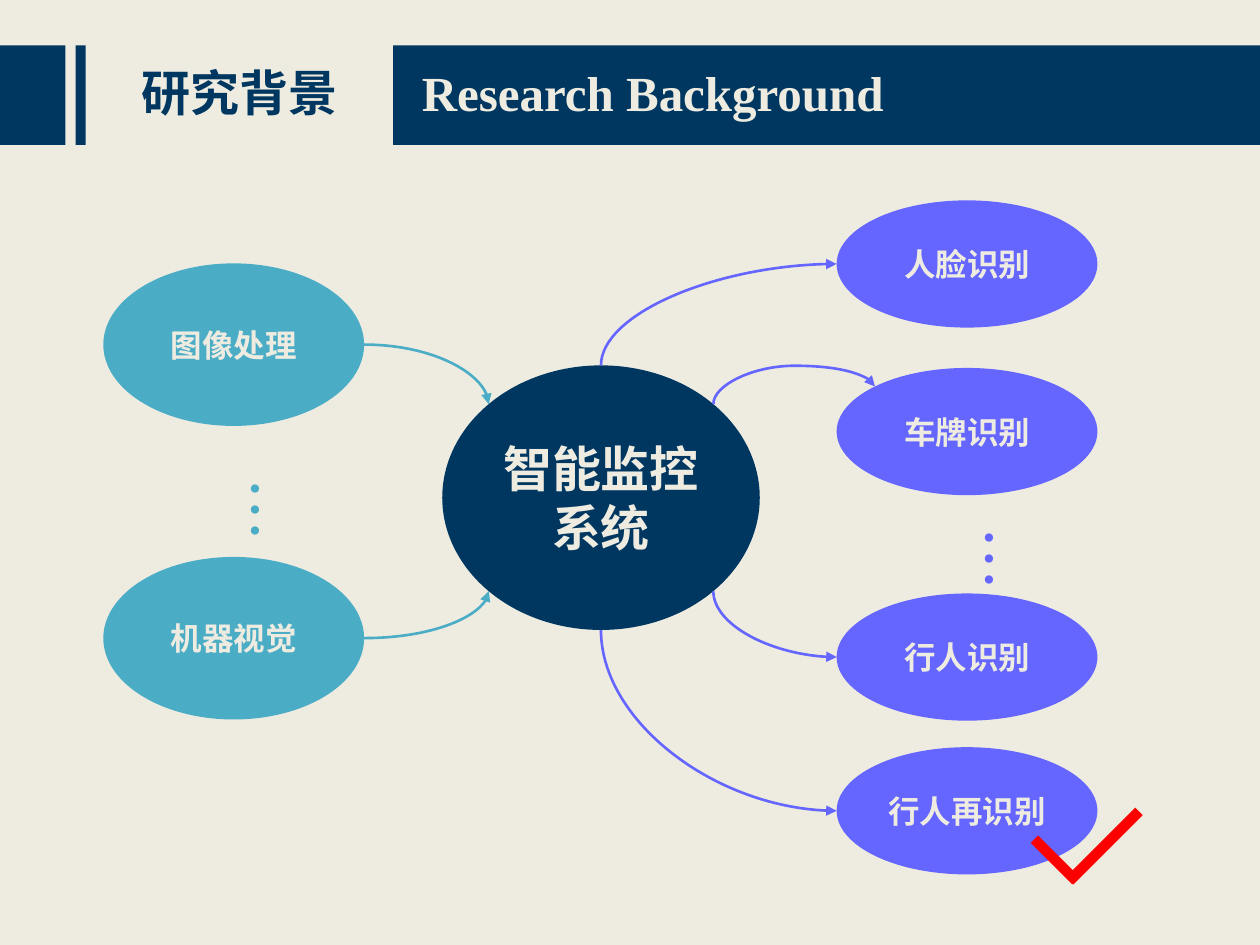
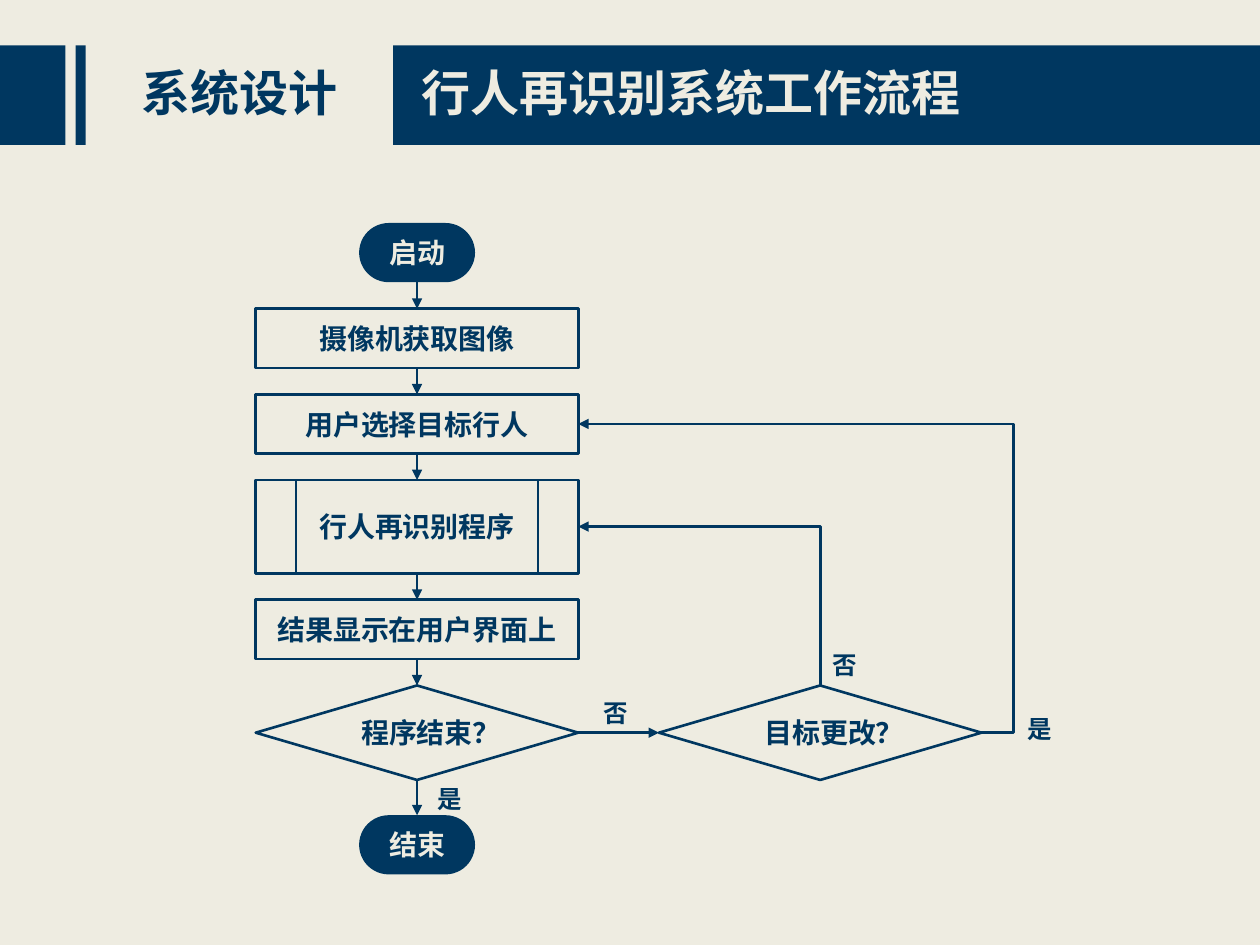
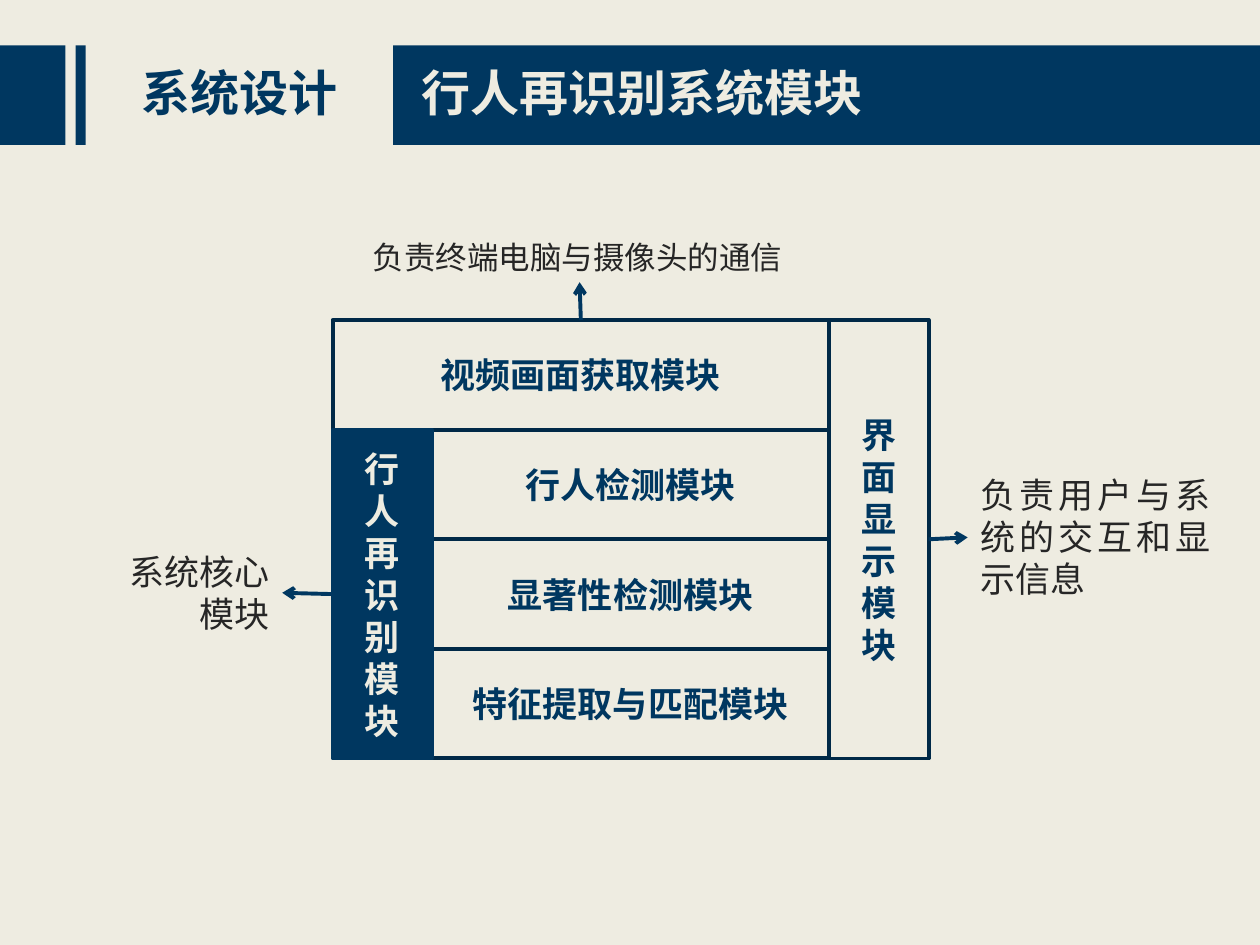
from math import cos, radians, sin

from lxml.etree import SubElement
from pptx import Presentation
from pptx.dml.color import RGBColor
from pptx.enum.shapes import MSO_CONNECTOR as Link, MSO_SHAPE as Form
from pptx.enum.text import MSO_ANCHOR as Anchor, PP_ALIGN as Align
from pptx.oxml.ns import qn
from pptx.util import Inches, Pt

NAVY = RGBColor(0x00, 0x37, 0x60)
DEEP_NAVY = RGBColor(0x00, 0x29, 0x47)
CREAM = RGBColor(0xEE, 0xEC, 0xE1)
TEAL = RGBColor(0x4B, 0xAC, 0xC6)
VIOLET = RGBColor(0x65, 0x65, 0xFF)
RED = RGBColor(0xFF, 0x00, 0x00)
INK = RGBColor(0x26, 0x26, 0x26)

SERIF = "Times New Roman"
SANS = "Noto Sans CJK SC"
TITLE_ONLY = 5
TOP, LEFT, BOTTOM, RIGHT = range(4)


def write(frame, lines, size, color, bold=True, align=Align.CENTER, font=SERIF):
    """Fill a text frame with one paragraph per line."""
    frame.word_wrap = True
    for number, line in enumerate(lines):
        para = frame.add_paragraph() if number else frame.paragraphs[0]
        para.alignment = align
        span = para.add_run()
        span.text = line
        span.font.size = Pt(size)
        span.font.bold = bold
        span.font.color.rgb = color
        span.font.name = font
        SubElement(span.font._element, qn("a:ea")).set("typeface", SANS)


def add_form(slide, form, box, fill=None, edge=None, weight=1.5):
    shape = slide.shapes.add_shape(form, *map(Inches, box))
    shape.shadow.inherit = False
    if fill is None:
        shape.fill.background()
    else:
        shape.fill.solid()
        shape.fill.fore_color.rgb = fill
    if edge is None:
        shape.line.fill.background()
    else:
        shape.line.color.rgb = edge
        shape.line.width = Pt(weight)
    return shape


def add_node(slide, form, box, lines, size, ink, **look):
    """Add a shape with centred bold text."""
    node = add_form(slide, form, box, **look)
    node.text_frame.vertical_anchor = Anchor.MIDDLE
    write(node.text_frame, lines, size, ink)
    return node


def add_text(slide, box, lines, size, color, **look):
    text_box = slide.shapes.add_textbox(*map(Inches, box))
    write(text_box.text_frame, lines, size, color, **look)
    return text_box


def style_link(link, color, weight, head):
    link.line.color.rgb = color
    link.line.width = Pt(weight)
    if head:
        SubElement(link.line._get_or_add_ln(), qn("a:tailEnd")).set("type", head)
    SubElement(link._element.spPr, qn("a:effectLst"))


def add_line(slide, start, end, color, weight):
    link = slide.shapes.add_connector(Link.STRAIGHT, *map(Inches, start + end))
    style_link(link, color, weight, None)


def join(slide, start, start_side, end, end_side, weight=1.5, head="triangle"):
    """Draw a straight arrow between the sides of two shapes."""
    link = slide.shapes.add_connector(Link.STRAIGHT, 0, 0, 0, 0)
    link.begin_connect(start, start_side)
    link.end_connect(end, end_side)
    style_link(link, NAVY, weight, head)


def site_point(shape, site, count):
    """Return a connection site; sites run anticlockwise from the top."""
    angle = radians(360 / count * site)
    return (shape.left + shape.width / 2 * (1 - sin(angle)),
            shape.top + shape.height / 2 * (1 - cos(angle)))


def add_route(slide, preset, start, end, color, upright, count=4, bend=None):
    """Draw a bent or curved arrow between (shape, site) pairs.

    An upright route leaves its start vertically; bend is the adjustment.
    """
    (x1, y1), (x2, y2) = (site_point(*spot, count) for spot in (start, end))
    dx, dy = x2 - x1, y2 - y1
    width, height = abs(dx), abs(dy)
    turn, flip_h, flip_v = 0, dx < 0, dy < 0
    if upright:
        width, height = height, width
        turn = 90 if dy < 0 < dx else 270
        flip_h = (dy < 0) == (turn == 90)
        flip_v = (dx > 0) == (turn == 90)

    link = slide.shapes.add_connector(Link.ELBOW, 0, 0, 0, 0)
    link.left, link.top = int((x1 + x2 - width) / 2), int((y1 + y2 - height) / 2)
    link.width, link.height = int(width), int(height)
    frame = link._element.spPr.find(qn("a:xfrm"))
    frame.set("rot", str(turn * 60000))
    frame.set("flipH", str(int(flip_h)))
    frame.set("flipV", str(int(flip_v)))

    outline = link._element.spPr.find(qn("a:prstGeom"))
    outline.set("prst", preset)
    if bend is not None:
        guide = SubElement(outline.find(qn("a:avLst")), qn("a:gd"))
        guide.set("name", "adj1")
        guide.set("fmla", f"val {round(bend * 100000)}")

    joints = link._element.nvCxnSpPr.cNvCxnSpPr
    for tag, (shape, site) in (("a:stCxn", start), ("a:endCxn", end)):
        joint = SubElement(joints, qn(tag))
        joint.set("id", str(shape.shape_id))
        joint.set("idx", str(site))
    style_link(link, color, 1.5, "triangle")


def add_page(deck, title, subtitle, subtitle_font=SERIF):
    """Add a slide with the navy header band, its title and subtitle."""
    page = deck.slides.add_slide(deck.slide_layouts[TITLE_ONLY])
    for left, width in ((0, 0.52), (0.6, 0.08), (3.12, 6.88)):
        band = add_form(page, Form.RECTANGLE, (left, 0.36, width, 0.79), fill=NAVY)
        page.shapes._spTree.insert(2, band._element)

    heading = page.shapes.title
    heading.left, heading.top, heading.width, heading.height = map(
        Inches, (0.68, 0.44, 2.44, 0.64))
    write(heading.text_frame, [title], 28, NAVY, font=SANS)
    caption = add_text(page, (3.25, 0.44, 6.52, 0.64), [subtitle], 28, CREAM,
                       align=Align.LEFT, font=subtitle_font)
    caption.text_frame.paragraphs[0].space_before = Pt(10)
    for frame in (heading.text_frame, caption.text_frame):
        frame.vertical_anchor = Anchor.MIDDLE
        frame.paragraphs[0].line_spacing = 0.9
    return page


def add_dots(slide, left, top, color):
    dots = add_text(slide, (left, top, 0.81, 0.9), ["…"], 36, color,
                    bold=False, align=Align.LEFT, font=SANS)
    dots.text_frame._txBody.bodyPr.set("vert", "eaVert")


def add_tick(slide, left, top):
    add_line(slide, (left, top + 0.22), (left + 0.33, top + 0.55), RED, 6)
    add_line(slide, (left + 0.28, top + 0.55), (left + 0.83, top), RED, 6)


def add_mind_map(slide, left, top):
    def ovals(x, height, color, items):
        return [add_node(slide, Form.OVAL, (left + x, top + y, 2.07, height), [text],
                         18, CREAM, fill=color) for text, y in items]

    system = add_node(slide, Form.OVAL, (left + 2.69, top + 1.31, 2.52, 2.1),
                      ["智能监控系统"], 28, CREAM, fill=NAVY)
    sources = ovals(0, 1.29, TEAL, [("图像处理", 0.5), ("机器视觉", 2.83)])
    uses = ovals(5.82, 1.01, VIOLET, [("人脸识别", 0), ("车牌识别", 1.33),
                                      ("行人识别", 3.12), ("行人再识别", 4.34)])

    for source, site in zip(sources, (1, 3)):
        add_route(slide, "curvedConnector2", (source, 6), (system, site), TEAL,
                  upright=False, count=8)
    routes = [(0, 2, 2, None), (7, 1, 3, 2.18), (5, 2, 2, None), (4, 2, 2, None)]
    for use, (exit_site, entry_site, parts, bend) in zip(uses, routes):
        add_route(slide, f"curvedConnector{parts}", (system, exit_site),
                  (use, entry_site), VIOLET, upright=True, count=8, bend=bend)
    add_dots(slide, left + 6.58, top + 2.5, VIOLET)
    add_dots(slide, left + 0.76, top + 2.11, TEAL)
    add_tick(slide, left + 7.39, top + 4.85)


def add_flow_chart(slide, left, top):
    width, gap = 2.56, 0.21
    outlined = {"edge": NAVY}
    steps = [
        ("启动", Form.ROUNDED_RECTANGLE, 0.47, 0),
        ("摄像机获取图像", Form.RECTANGLE, 0.47, gap),
        ("用户选择目标行人", Form.RECTANGLE, 0.47, gap),
        ("行人再识别程序", Form.FLOWCHART_PREDEFINED_PROCESS, 0.74, gap),
        ("结果显示在用户界面上", Form.RECTANGLE, 0.47, gap),
        ("程序结束？", Form.FLOWCHART_DECISION, 0.75, gap),
        ("结束", Form.ROUNDED_RECTANGLE, 0.47, 0.28),
    ]
    nodes, y = [], top
    for text, form, height, space in steps:
        y += space
        if form == Form.ROUNDED_RECTANGLE:
            node = add_node(slide, form, (left + 0.82, y, 0.92, height), [text], 16,
                            CREAM, fill=NAVY)
            node.adjustments[0] = 0.5
        else:
            node = add_node(slide, form, (left, y, width, height), [text], 16, NAVY,
                            **outlined)
        nodes.append(node)
        y += height
    for upper, lower in zip(nodes, nodes[1:]):
        join(slide, upper, BOTTOM, lower, TOP)

    choose, identify, finished = nodes[2], nodes[3], nodes[5]
    changed = add_node(slide, Form.FLOWCHART_DECISION,
                       (left + 3.2, top + 3.67, width, 0.75), ["目标更改？"], 16, NAVY,
                       **outlined)
    join(slide, finished, RIGHT, changed, LEFT)
    add_route(slide, "bentConnector2", (changed, TOP), (identify, RIGHT), NAVY,
              upright=True)
    add_route(slide, "bentConnector3", (changed, RIGHT), (choose, RIGHT), NAVY,
              upright=False, bend=-0.08)
    for answer, x, y in (("是", 1.34, 4.4), ("否", 2.66, 3.72),
                         ("是", 6.03, 3.85), ("否", 4.48, 3.34)):
        add_text(slide, (left + x, top + y, 0.72, 0.34), [answer], 14, NAVY,
                 align=Align.LEFT)


def add_module_diagram(slide, left, top):
    row, side, middle = 0.87, 0.79, 3.15
    wide = side + middle

    def module(x, y, width, height, lines, ink=NAVY, fill=None, edge=DEEP_NAVY):
        return add_node(slide, Form.RECTANGLE, (left + x, top + y, width, height),
                        lines, 20, ink, fill=fill, edge=edge, weight=2.25)

    def note(x, y, width, height, lines, size, align):
        return add_text(slide, (left + x, top + y, width, height), lines, size, INK,
                        bold=False, align=align)

    video = module(0, 0, wide, row, ["视频画面获取模块"])
    parts = ("行人检测模块", "显著性检测模块", "特征提取与匹配模块")
    for number, text in enumerate(parts, 1):
        module(side, number * row, middle, row, [text])
    core = module(0, row, side, 3 * row, "行人再识别模块", CREAM, NAVY, NAVY)
    display = module(wide, 0, side, 4 * row, "界面显示模块")

    video_note = note(0.22, -0.7, 3.48, 0.4, ["负责终端电脑与摄像头的通信"], 18, Align.LEFT)
    core_note = note(-1.75, 1.78, 1.35, 0.77, ["系统核心", "模块"], 20, Align.RIGHT)
    display_note = note(5.04, 1.17, 2.03, 1.11, ["负责用户与系统的交互和显示信息"], 20,
                        Align.JUSTIFY)
    for source, exit_side, target, entry_side in (
            (video, TOP, video_note, BOTTOM), (core, LEFT, core_note, RIGHT),
            (display, RIGHT, display_note, LEFT)):
        join(slide, source, exit_side, target, entry_side, 2.25, "arrow")


def main():
    deck = Presentation()
    deck.slide_width, deck.slide_height = Inches(10), Inches(7.5)
    backdrop = deck.slide_master.background.fill
    backdrop.solid()
    backdrop.fore_color.rgb = CREAM

    add_mind_map(add_page(deck, "研究背景", "Research Background"), 0.82, 1.59)
    add_flow_chart(add_page(deck, "系统设计", "行人再识别系统工作流程"), 2.03, 1.77)
    add_module_diagram(add_page(deck, "系统设计", "行人再识别系统模块"), 2.64, 2.54)
    deck.save("out.pptx")


if __name__ == "__main__":
    main()
